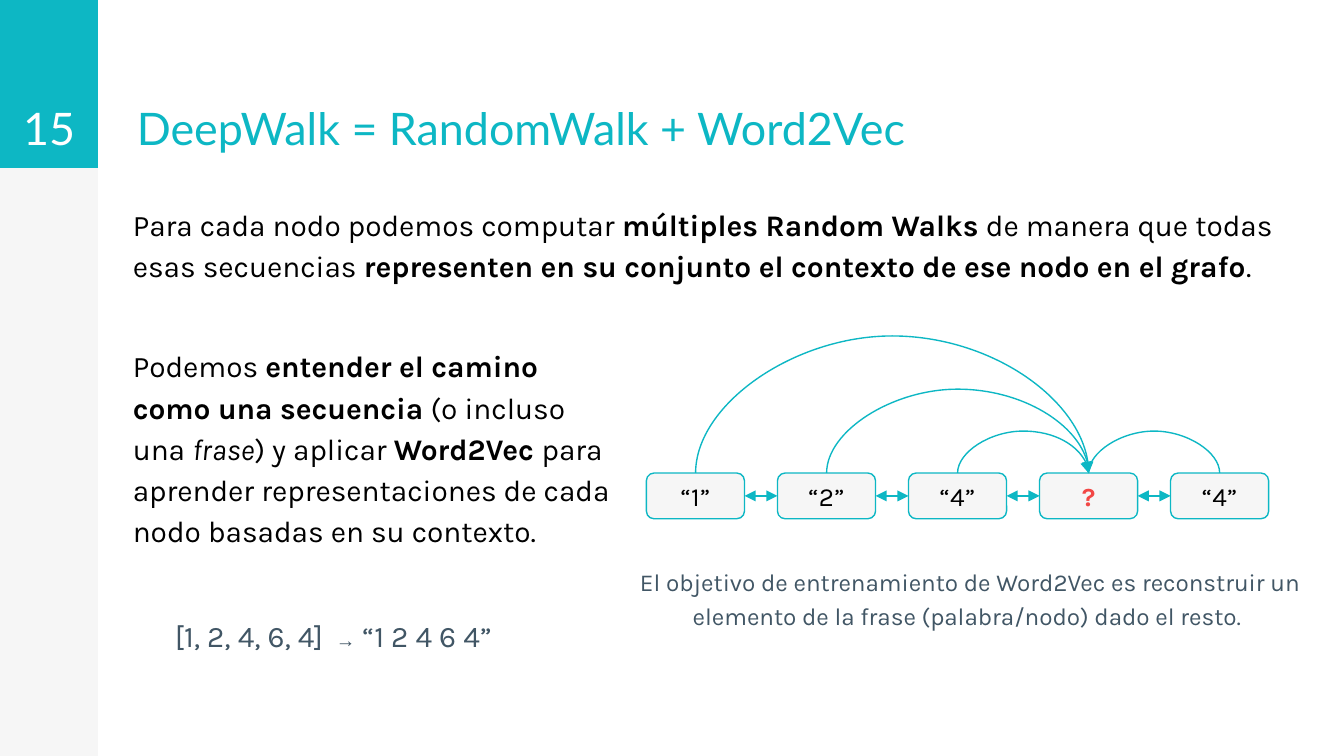
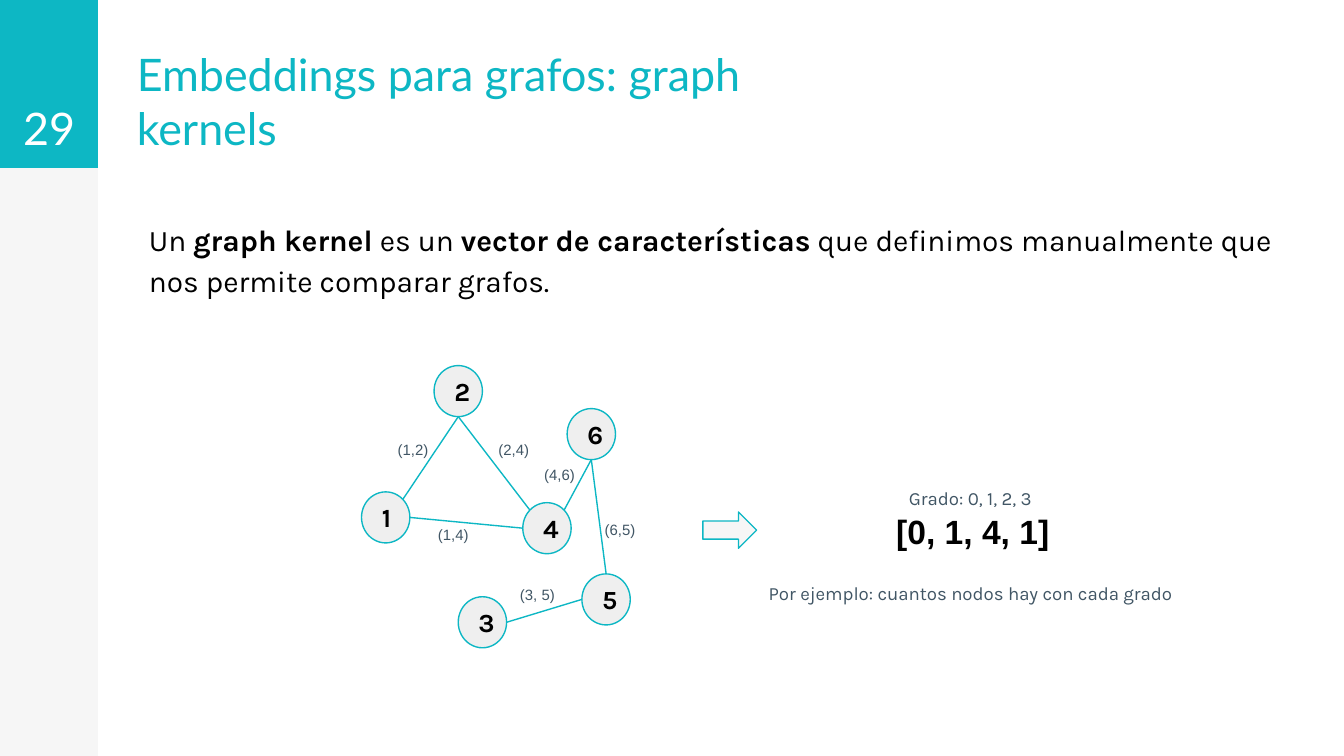
from itertools import pairwise

from lxml import etree
from pptx import Presentation
from pptx.dml.color import RGBColor
from pptx.enum.shapes import MSO_CONNECTOR, MSO_SHAPE
from pptx.enum.text import MSO_ANCHOR, PP_ALIGN
from pptx.oxml.ns import qn
from pptx.util import Emu, Inches, Pt

RECT, ROUND = MSO_SHAPE.RECTANGLE, MSO_SHAPE.ROUNDED_RECTANGLE
OVAL, ARROW = MSO_SHAPE.OVAL, MSO_SHAPE.RIGHT_ARROW
LINE, CURVE = MSO_CONNECTOR.STRAIGHT, MSO_CONNECTOR.CURVE
TOP, MID, LOW = MSO_ANCHOR.TOP, MSO_ANCHOR.MIDDLE, MSO_ANCHOR.BOTTOM
LEFT, CENTER = PP_ALIGN.LEFT, PP_ALIGN.CENTER

WIDE = 10
TALL = WIDE * 9 / 16
TEAL, PALE, GRAY, SLATE = "0DB7C4", "F6F6F6", "EFEFEF", "415665"
BLACK, WHITE, RED = "000000", "FFFFFF", "F24745"
HEAD = {"name": "Lato", "size": Pt(24)}
BODY = {"name": "Karla", "size": Pt(16)}
NOTE = BODY | {"size": Pt(13), "color": SLATE}
SMALL = NOTE | {"size": Pt(10)}
NODE = BODY | {"size": Pt(14)}
EDGE = {"name": "Arial", "size": Pt(8), "color": SLATE}
BOLD, ITALIC = {"bold": True}, {"italic": True}
FLOW = {"line_spacing": 1.15, "space_before": Pt(12)}
THIN = 600


def color(code):
    """Turn a hex string into a colour."""
    return RGBColor.from_string(code)


def write(shape, runs, base, align=LEFT, anchor=TOP, para=None):
    """Write runs of (text, format) into one paragraph of a shape."""
    frame = shape.text_frame
    frame.word_wrap, frame.vertical_anchor = True, anchor
    for side in ("left", "top", "right", "bottom"):
        setattr(frame, f"margin_{side}", Inches(0.1))
    line = frame.paragraphs[0]
    for key, value in ({"alignment": align} | (para or {})).items():
        setattr(line, key, value)
    for text, extra in [(runs, {})] if isinstance(runs, str) else runs:
        run = line.add_run()
        run.text = text
        look = {"color": BLACK} | base | extra
        run.font.color.rgb = color(look.pop("color"))
        for key, value in look.items():
            setattr(run.font, key, value)


def label(slide, box, runs, base, **opts):
    """Add a text box."""
    write(slide.shapes.add_textbox(*map(Inches, box)), runs, base, **opts)


def block(shapes, kind, box, fill, edge=None):
    """Add a filled preset shape, outlined if an edge colour is given."""
    shape = shapes.add_shape(kind, *map(Inches, box))
    shape.shadow.inherit = False
    shape.fill.solid()
    shape.fill.fore_color.rgb = color(fill)
    if edge:
        shape.line.color.rgb = color(edge)
        shape.line.width = Pt(0.75)
    else:
        shape.line.fill.background()
    return shape


def link(shapes, start, end, kind=LINE, tips=()):
    """Add a thin teal connector with triangles at the named ends."""
    line = shapes.add_connector(kind, *map(Inches, (*start, *end)))
    line.line.color.rgb = color(TEAL)
    line.line.width = Pt(0.75)
    for tip in tips:
        etree.SubElement(line.line._get_or_add_ln(), qn(f"a:{tip}"), type="triangle")
    etree.SubElement(line._element.spPr, qn("a:effectLst"))
    return line


def arc(shapes, first, last, rise, tips=("tailEnd",)):
    """Join the tops of two boxes with a curve that climbs by rise."""
    line = link(shapes, (0, 0), (1, 1), CURVE, tips)
    line.begin_connect(first, 0)
    line.end_connect(last, 0)
    start, end = (box.left + box.width // 2 for box in (first, last))
    span = abs(end - start)
    line.left, line.top = Emu((start + end - THIN) // 2), Emu(first.top - span // 2)
    line.width, line.height = Emu(THIN), Emu(span)
    frame = line._element.spPr.find(qn("a:xfrm"))
    for key in ("flipH", "flipV"):
        frame.attrib.pop(key, None)
    frame.set("rot", str((270 if end > start else 90) * 60000))
    if end > start:
        frame.set("flipH", "1")
    geom = line._element.spPr.find(qn("a:prstGeom"))
    ratio = -round(Inches(rise) / THIN * 100000)
    etree.SubElement(geom.find(qn("a:avLst")), qn("a:gd"), name="adj1", fmla=f"val {ratio}")


def page(deck, number, title, width):
    """Add a slide with its side band, number and title."""
    slide = deck.slides.add_slide(deck.slide_layouts[6])
    block(slide.shapes, RECT, (0, 0, 0.73, TALL), PALE)
    block(slide.shapes, RECT, (0, 0, 0.73, 1.25), TEAL)
    label(slide, (0, 0, 0.73, 1.25), number, HEAD | {"color": WHITE},
          align=CENTER, anchor=LOW)
    label(slide, (0.92, 0, width, 1.25), title, HEAD | {"color": TEAL}, anchor=LOW)
    return slide


def chain(slide):
    """Draw the row of words and the arcs that lead to the unknown one."""
    shapes, words = slide.shapes, []
    for i, text in enumerate(("“1”", "“2”", "“4”", "?", "“4”")):
        word = block(shapes, ROUND, (4.81 + i * 0.975, 3.52, 0.73, 0.34), PALE, TEAL)
        mark = BOLD | {"color": RED} if text == "?" else {}
        write(word, text, NODE | mark, CENTER, MID)
        words.append(word)
    for one, two in pairwise(words):
        line = link(shapes, (0, 0), (1, 1), tips=("headEnd", "tailEnd"))
        line.begin_connect(one, 3)
        line.end_connect(two, 1)
    for word, rise in zip(words, (0.85, 0.52, 0.26)):
        arc(shapes, word, words[3], rise)
    arc(shapes, words[4], words[3], 0.26, ())


def graph(slide):
    """Draw the graph of numbered nodes with its named edges."""
    shapes = slide.shapes.add_group_shape().shapes
    wide, high = 0.36, 0.38
    spots = {"1": (2.69, 3.66), "2": (3.23, 2.72), "3": (3.41, 4.44),
             "4": (3.89, 3.74), "5": (4.33, 4.27), "6": (4.22, 3.04)}
    for name, spot in spots.items():
        node = block(shapes, OVAL, (*spot, wide, high), GRAY, TEAL)
        write(node, name, NODE | BOLD, CENTER if name == "2" else LEFT, MID)

    def rim(name, across, down):
        """Find a point on the rim of a node."""
        left, top = spots[name]
        return left + wide / 2 * (1 + across), top + high / 2 * (1 + down)

    diag = 0.71
    for start, end in (
        (("2", 0, 1), ("4", -diag, -diag)), (("4", diag, -diag), ("6", 0, 1)),
        (("1", 1, 0), ("4", -1, 0)), (("2", 0, 1), ("1", diag, -diag)),
        (("6", 0, 1), ("5", 0, -1)), (("5", -1, 0), ("3", 1, 0)),
    ):
        link(shapes, rim(*start), rim(*end))
    for text, left, top in (
        ("(1,2)", 2.86, 3.21), ("(1,4)", 3.16, 3.84), ("(2,4)", 3.61, 3.21),
        ("(4,6)", 3.95, 3.4), ("(6,5)", 4.4, 3.81), ("(3, 5)", 3.77, 4.29),
    ):
        label(slide, (left, top, 0.49 if " " in text else 0.45, 0.32), text, EDGE)


def walk(deck):
    """Build the slide on random walks."""
    slide = page(deck, "15", "DeepWalk = RandomWalk + Word2Vec", 6.93)
    label(slide, (0.89, 1.4, 8.94, 1.24), [
        ("Para cada nodo podemos computar ", {}),
        ("múltiples Random Walks", BOLD),
        (" de manera que todas esas secuencias ", {}),
        ("representen en su conjunto el contexto de ese nodo en el grafo", BOLD),
        (".", {})], BODY, para=FLOW)
    label(slide, (0.89, 2.45, 3.77, 2.48), [
        ("Podemos ", {}),
        ("entender el camino como una secuencia", BOLD),
        (" (o incluso una ", {}),
        ("frase", ITALIC),
        (") y aplicar ", {}),
        ("Word2Vec ", BOLD),
        ("para aprender representaciones de cada nodo basadas en su contexto.", {}),
    ], BODY, para=FLOW)
    label(slide, (0.92, 4.46, 3.12, 0.47), [
        ("[1, 2, 4, 6, 4] ", {}),
        (" →", BOLD | {"name": "Arial", "size": Pt(10.5)}),
        (" “1 2 4 6 4”", {})], BODY | {"color": SLATE}, align=CENTER, para=FLOW)
    chain(slide)
    label(slide, (4.65, 4.09, 5.13, 0.67),
          "El objetivo de entrenamiento de Word2Vec es reconstruir un elemento "
          "de la frase (palabra/nodo) dado el resto. ", NOTE, align=CENTER, para=FLOW)


def kernel(deck):
    """Build the slide on graph kernels."""
    slide = page(deck, "29", "Embeddings para grafos: graph kernels", 5.62)
    label(slide, (1.01, 1.51, 8.71, 0.78), [
        ("Un ", {}),
        ("graph kernel", BOLD),
        (" es un ", {}),
        ("vector de características", BOLD),
        (" que definimos manualmente que nos permite comparar grafos.", {}),
    ], BODY, para=FLOW)
    graph(slide)
    block(slide.shapes, ARROW, (5.23, 3.81, 0.4, 0.27), PALE, TEAL)
    label(slide, (6.57, 3.7, 1.39, 0.37), "[0, 1, 4, 1]",
          BOLD | {"name": "Arial", "size": Pt(18)})
    for top, text in ((3.5, "Grado: 0, 1, 2, 3"),
                      (4.21, "Por ejemplo: cuantos nodos hay con cada grado")):
        label(slide, (5.4, top, 3.64, 0.37), text, SMALL, align=CENTER, para=FLOW)


def main():
    """Build and save the deck."""
    deck = Presentation()
    deck.slide_width, deck.slide_height = Inches(WIDE), Inches(TALL)
    walk(deck)
    kernel(deck)
    deck.save("out.pptx")


if __name__ == "__main__":
    main()
